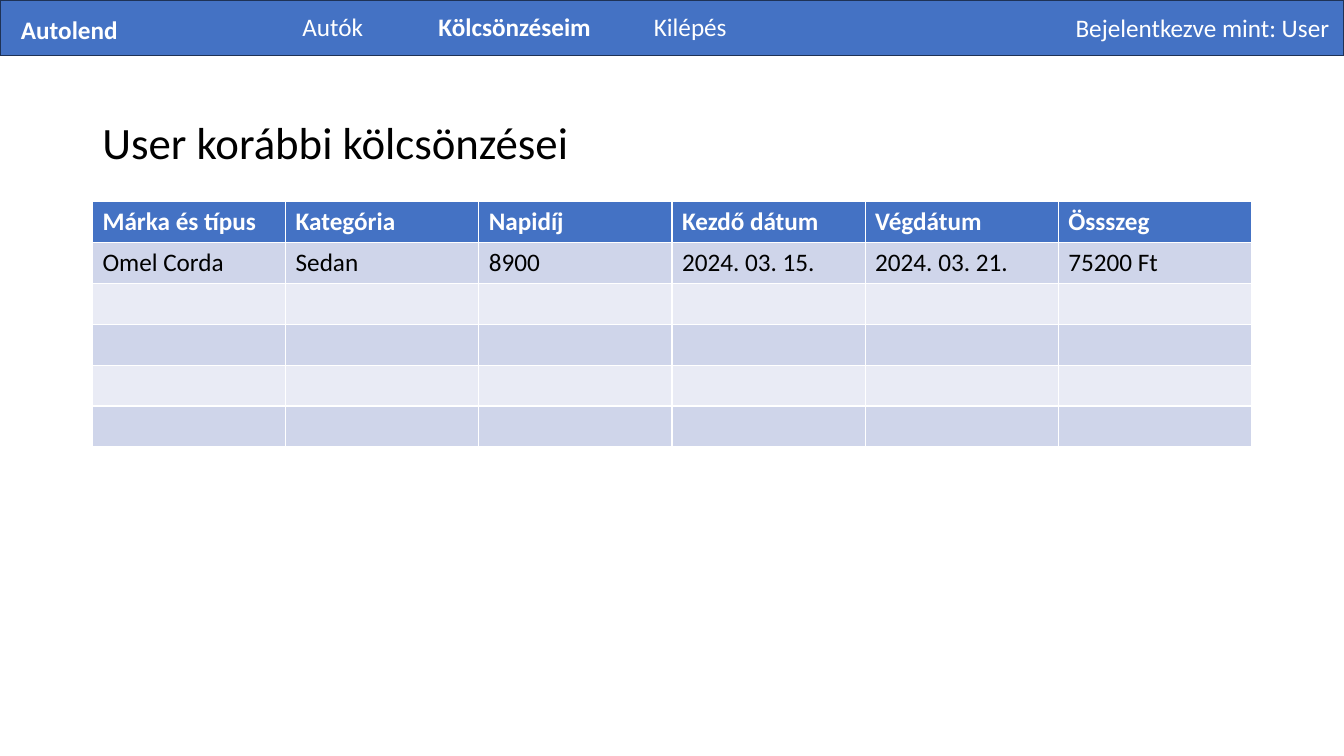
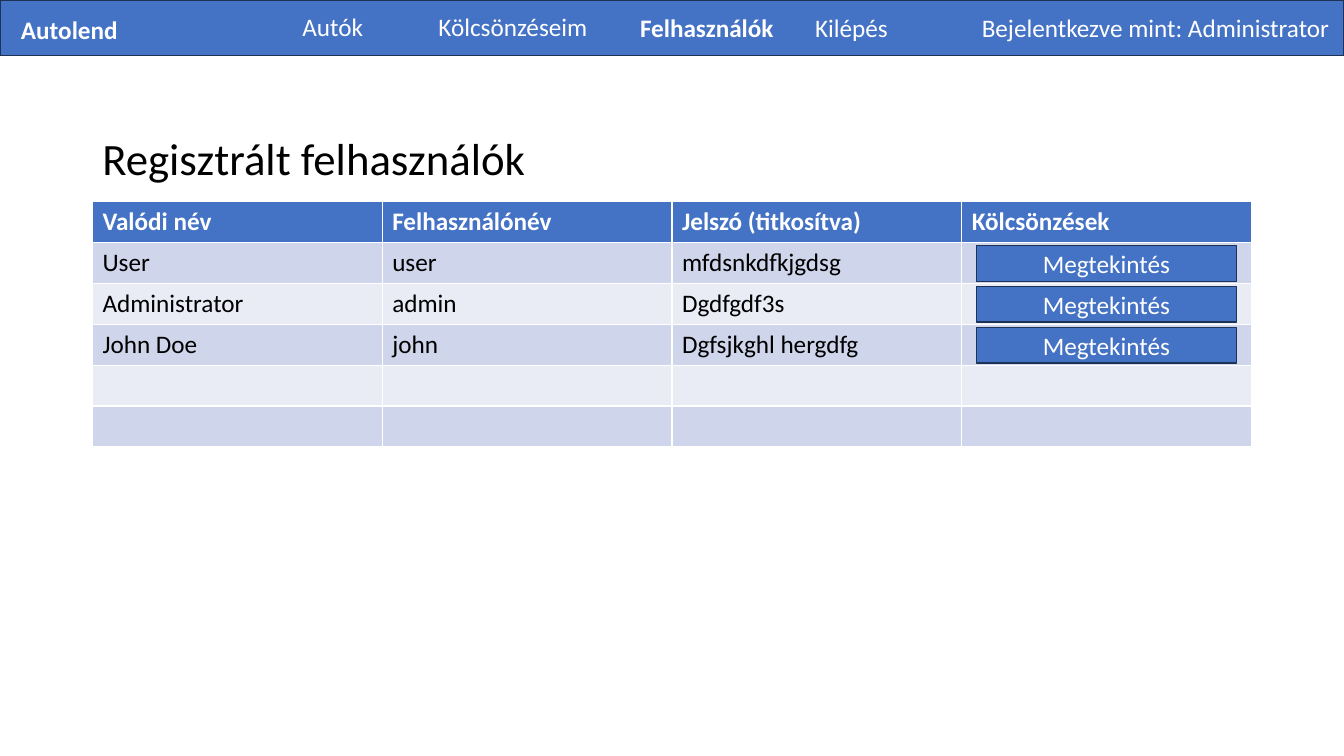
from dataclasses import dataclass

from pptx import Presentation
from pptx.dml.color import RGBColor
from pptx.enum.shapes import MSO_SHAPE
from pptx.enum.text import MSO_ANCHOR, MSO_AUTO_SIZE, PP_ALIGN
from pptx.util import Cm, Pt

RECT = MSO_SHAPE.RECTANGLE
MIDDLE = MSO_ANCHOR.MIDDLE
GROW = MSO_AUTO_SIZE.SHAPE_TO_FIT_TEXT
LEFT, CENTER, RIGHT = PP_ALIGN.LEFT, PP_ALIGN.CENTER, PP_ALIGN.RIGHT


@dataclass(frozen=True)
class Theme:
    font: str = "Calibri"
    blue: RGBColor = RGBColor.from_string("4472C4")
    edge: RGBColor = RGBColor.from_string("1E3256")
    dark: RGBColor = RGBColor.from_string("CFD5EA")
    pale: RGBColor = RGBColor.from_string("E9EBF5")
    white: RGBColor = RGBColor.from_string("FFFFFF")
    black: RGBColor = RGBColor.from_string("000000")
    head: Pt = Pt(32)
    body: Pt = Pt(18)


THEME = Theme()
WIDE, HIGH = 33.87, 19.05
BAR = 1.4
EDGE, TOP, SPAN, ROW = 2.33, 5.08, 29.21, 1.03
COUNT = 6
BRAND = "Autolend"
LOGIN = "Bejelentkezve mint: "
VIEW = "Megtekintés"

PAGES = [
    {
        "title": "User korábbi kölcsönzései",
        "place": (1.88, 3.56),
        "user": "User",
        "active": "Kölcsönzéseim",
        "menu": [
            ("Autók", 7.37, 0.15, 3.68),
            ("Kölcsönzéseim", 10.8, 0.15, 6.15),
            ("Kilépés", 16.23, 0.15, 3.68),
        ],
        "rows": [
            ["Márka és típus", "Kategória", "Napidíj",
             "Kezdő dátum", "Végdátum", "Össszeg"],
            ["Omel Corda", "Sedan", "8900",
             "2024. 03. 15.", "2024. 03. 21.", "75200 Ft"],
        ],
        "views": 0,
    },
    {
        "title": "Regisztrált felhasználók",
        "place": (2.21, 3.68),
        "user": "Administrator",
        "active": "Felhasználók",
        "menu": [
            ("Autók", 7.37, 0.15, 3.68),
            ("Kölcsönzéseim", 10.8, 0.15, 6.15),
            ("Felhasználók", 15.88, 0.18, 4),
            ("Kilépés", 20.29, 0.18, 3.68),
        ],
        "rows": [
            ["Valódi név", "Felhasználónév",
             "Jelszó (titkosítva)", "Kölcsönzések"],
            ["User", "user", "mfdsnkdfkjgdsg"],
            ["Administrator", "admin", "Dgdfgdf3s"],
            ["John Doe", "john", "Dgfsjkghl hergdfg"],
        ],
        "views": 3,
    },
]


def write(frame, text, color, size=THEME.body, bold=False, align=LEFT):
    para = frame.paragraphs[0]
    para.text = text
    para.alignment = align
    para.font.name = THEME.font
    para.font.size = size
    para.font.bold = bold
    para.font.color.rgb = color
    return para


def add_box(shapes, x, y, w, h):
    box = shapes.add_shape(RECT, Cm(x), Cm(y), Cm(w), Cm(h))
    box.shadow.inherit = False
    box.fill.solid()
    box.fill.fore_color.rgb = THEME.blue
    box.line.color.rgb = THEME.edge
    box.line.width = Pt(1)
    return box


def add_label(shapes, text, x, y, w, bold=False, align=LEFT):
    frame = shapes.add_textbox(Cm(x), Cm(y), Cm(w), Cm(1.03)).text_frame
    frame.word_wrap = True
    frame.auto_size = GROW
    write(frame, text, THEME.white, bold=bold, align=align)


def add_title(slide, text, place):
    y, h = place
    frame = slide.shapes.add_textbox(Cm(EDGE), Cm(y), Cm(SPAN), Cm(h)).text_frame
    frame.word_wrap = True
    frame.vertical_anchor = MIDDLE
    write(frame, text, THEME.black, THEME.head).line_spacing = 0.9


def add_grid(slide, rows):
    cols = len(rows[0])
    table = slide.shapes.add_table(
        COUNT, cols, Cm(EDGE), Cm(TOP), Cm(SPAN), Cm(ROW * COUNT)).table
    for r in range(COUNT):
        texts = rows[r] if r < len(rows) else []
        fill = THEME.blue if r == 0 else (THEME.pale, THEME.dark)[r % 2]
        color = THEME.white if r == 0 else THEME.black
        for c in range(cols):
            cell = table.cell(r, c)
            cell.fill.solid()
            cell.fill.fore_color.rgb = fill
            if c < len(texts):
                write(cell.text_frame, texts[c], color, bold=r == 0)


def add_menu(slide, page):
    shapes = slide.shapes.add_group_shape().shapes
    add_box(shapes, 0, 0, WIDE, BAR)
    add_label(shapes, BRAND, 0.28, 0.23, 3.68, True)
    for text, x, y, w in page["menu"]:
        add_label(shapes, text, x, y, w, text == page["active"])
    add_label(shapes, LOGIN + page["user"], 23.9, 0.18, 9.85, align=RIGHT)


def add_views(slide, count):
    for i in range(count):
        box = add_box(slide.shapes, 24.61, TOP + ROW * (i + 1) + 0.08, 6.55, 0.9)
        box.text_frame.vertical_anchor = MIDDLE
        write(box.text_frame, VIEW, THEME.white, align=CENTER)


def main():
    deck = Presentation()
    deck.slide_width, deck.slide_height = Cm(WIDE), Cm(HIGH)
    for page in PAGES:
        slide = deck.slides.add_slide(deck.slide_layouts[6])
        add_title(slide, page["title"], page["place"])
        add_grid(slide, page["rows"])
        add_menu(slide, page)
        add_views(slide, page["views"])
    deck.save("out.pptx")


if __name__ == "__main__":
    main()
